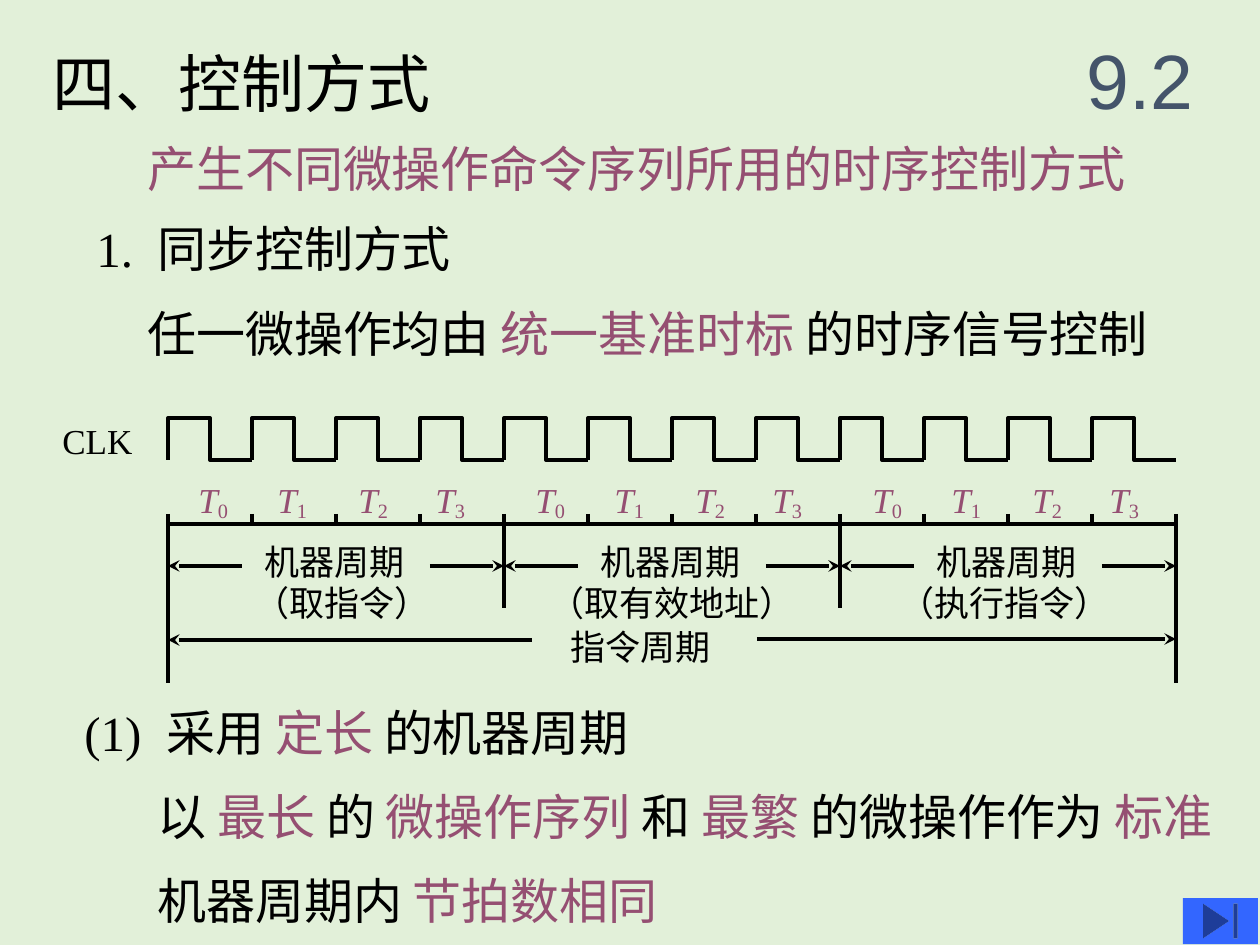
import pptx
import pptx.util
import pptx.dml.color
import pptx.enum.shapes
import pptx.enum.text
import lxml.etree


class Theme:
    back = pptx.dml.color.RGBColor.from_string("E2F0D9")
    ink = pptx.dml.color.RGBColor.from_string("000000")
    accent = pptx.dml.color.RGBColor.from_string("954F72")
    slate = pptx.dml.color.RGBColor.from_string("44546A")
    button = pptx.dml.color.RGBColor.from_string("3366FF")
    serif = "Times New Roman"
    sans = "Arial"
    title = pptx.util.Pt(36)
    number = pptx.util.Pt(44)
    body = pptx.util.Pt(28)
    label = pptx.util.Pt(20)
    stroke = pptx.util.Pt(2.25)


PX = 914400 / 126
NS = "{http://schemas.openxmlformats.org/drawingml/2006/main}"

deck = pptx.Presentation()
deck.slide_width = round(1260 * PX)
deck.slide_height = round(945 * PX)
slide = deck.slides.add_slide(deck.slide_layouts[6])
slide.background.fill.solid()
slide.background.fill.fore_color.rgb = Theme.back
shapes = slide.shapes


def write(left, top, width, height, words, size, tab=0):
    box = shapes.add_textbox(*[round(n * PX) for n in (left, top, width, height)])
    frame = box.text_frame
    frame.word_wrap = False
    frame.auto_size = pptx.enum.text.MSO_AUTO_SIZE.SHAPE_TO_FIT_TEXT
    para = frame.paragraphs[0]
    if tab:
        stops = lxml.etree.SubElement(para._p.get_or_add_pPr(), NS + "tabLst")
        lxml.etree.SubElement(stops, NS + "tab", pos=str(round(tab * PX)), algn="l")
    para.font.size = size
    para.font.name = Theme.serif
    parts = words.split("|")
    shown = [(part, (Theme.ink, Theme.accent)[i % 2]) for i, part in enumerate(parts) if part]
    for part, color in shown:
        run = para.add_run()
        run.text = part
        if len(shown) > 1:
            run.font.color.rgb = color
    if len(shown) == 1:
        para.font.color.rgb = shown[0][1]
    return para


def draw(x1, y1, x2, y2, arrow=False):
    line = shapes.add_connector(
        pptx.enum.shapes.MSO_CONNECTOR.STRAIGHT,
        *[round(n * PX) for n in (x1, y1, x2, y2)])
    line.line.color.rgb = Theme.ink
    line.line.width = Theme.stroke
    if arrow:
        lxml.etree.SubElement(line.line._get_or_add_ln(), NS + "tailEnd", type="stealth")
    lxml.etree.SubElement(line._element.spPr, NS + "effectLst")


for left, top, width, height, words, size, tab in [
    (40, 38, 405, 88, "四、控制方式", Theme.title, 0),
    (135, 132, 1009, 72, "|产生不同微操作命令序列所用的时序控制方式", Theme.body, 0),
    (84, 212, 514, 72, "1.\t同步控制方式", Theme.body, 61),
    (135, 297, 1034, 72, "任一微操作均由 |统一基准时标 |的时序信号控制", Theme.body, 0),
    (50, 413, 101, 54, "CLK", Theme.label, 0),
    (72, 696, 678, 72, "(1)\t采用 |定长 |的机器周期", Theme.body, 82),
    (145, 780, 1091, 72, "以 |最长 |的 |微操作序列 |和 |最繁 |的微操作作为 |标准", Theme.body, 0),
    (145, 864, 694, 72, "机器周期内 |节拍数相同", Theme.body, 0),
]:
    write(left, top, width, height, words, size, tab)

start, beat, count = 168, 84, 12
cycle = 4 * beat
end = start + count * beat
high, low, axis = 418, 460, 524

for i in range(count):
    x = start + i * beat
    half = x + beat // 2
    pen = shapes.build_freeform(x, low, scale=PX)
    pen.add_line_segments(
        [(x, high), (half, high), (half, low), (x + beat, low)], close=False)
    pulse = pen.convert_to_shape()
    pulse.shadow.inherit = False
    pulse.fill.background()
    pulse.line.color.rgb = Theme.ink
    pulse.line.width = Theme.stroke

draw(start, axis, end, axis)
for i in range(count + 1):
    x = start + i * beat
    foot = 683 if i in (0, count) else 608 if i % 4 == 0 else axis
    draw(x, 514, x, foot)

for i, (phase, left, width) in enumerate([
    ("（取指令）", 242, 202),
    ("（取有效地址）", 537, 272),
    ("（执行指令）", 887, 237),
]):
    x = start + i * cycle
    draw(x + 74, 566, x, 566, True)
    draw(x + cycle - 74, 566, x + cycle, 566, True)
    write(x + 84, 534, 166, 54, "机器周期", Theme.label)
    write(left, 575, width, 54, phase, Theme.label)
    for k, shift in enumerate((0, 79, 160, 237)):
        para = write(186 + i * 337 + shift, 472, 58, 54, f"|T||{k}", Theme.label)
        pulse, index = para.runs
        pulse.font.italic = True
        index._r.get_or_add_rPr().set("baseline", "-15000")

draw(532, 640, start, 640, True)
draw(757, 639, end, 639, True)
write(558, 619, 166, 54, "指令周期", Theme.label)

para = write(1061, 21, 158, 116, "9.2", Theme.number)
para.alignment = pptx.enum.text.PP_ALIGN.CENTER
para.font.name = Theme.sans
para.font.color.rgb = Theme.slate
frame = shapes[-1].text_frame
frame.word_wrap = True
frame.auto_size = pptx.enum.text.MSO_AUTO_SIZE.NONE
frame.vertical_anchor = pptx.enum.text.MSO_ANCHOR.MIDDLE

button = shapes.add_shape(
    pptx.enum.shapes.MSO_SHAPE.ACTION_BUTTON_END,
    *[round(n * PX) for n in (1183, 898, 75, 46)])
button.shadow.inherit = False
button.fill.solid()
button.fill.fore_color.rgb = Theme.button
button.line.fill.background()

deck.save("out.pptx")
